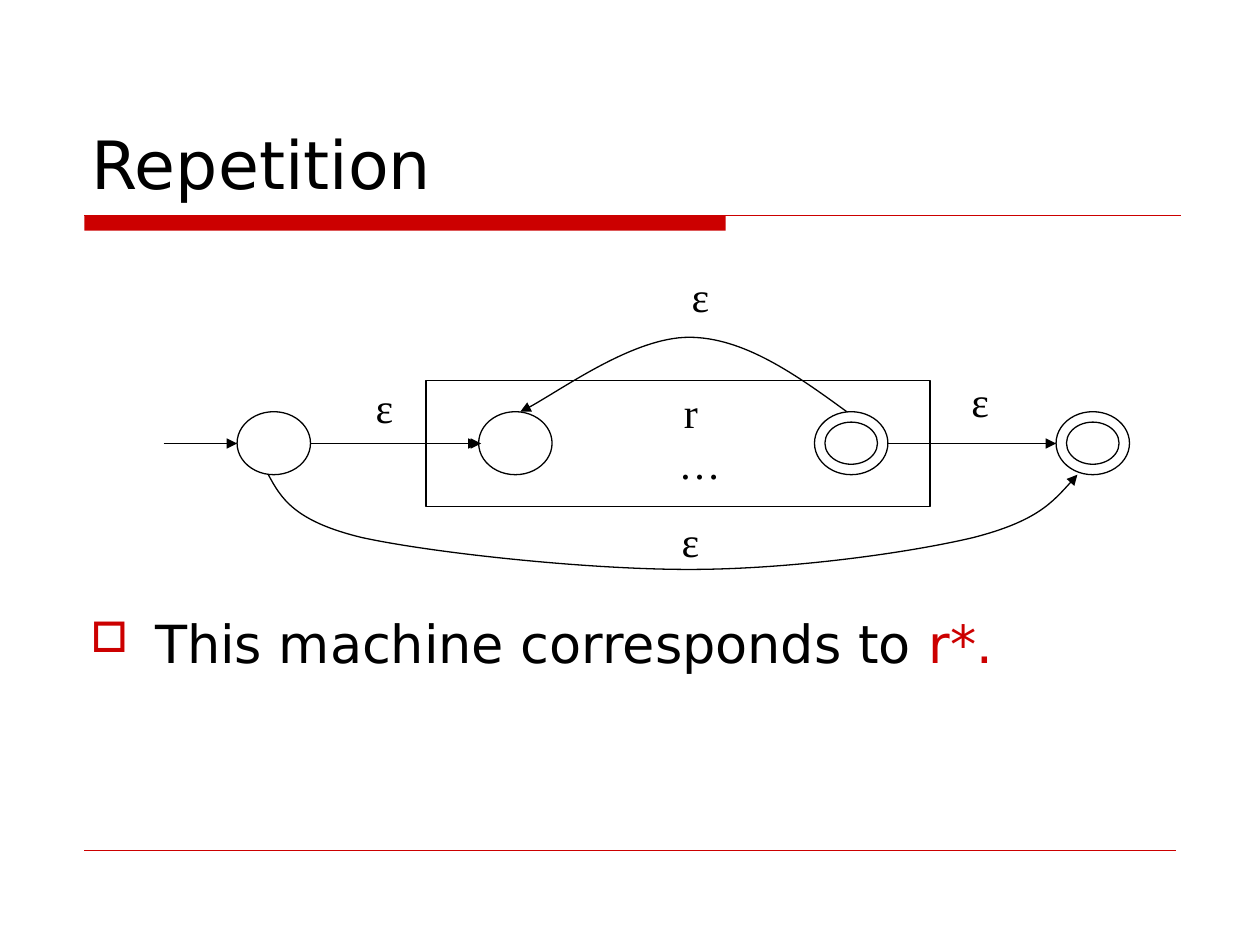
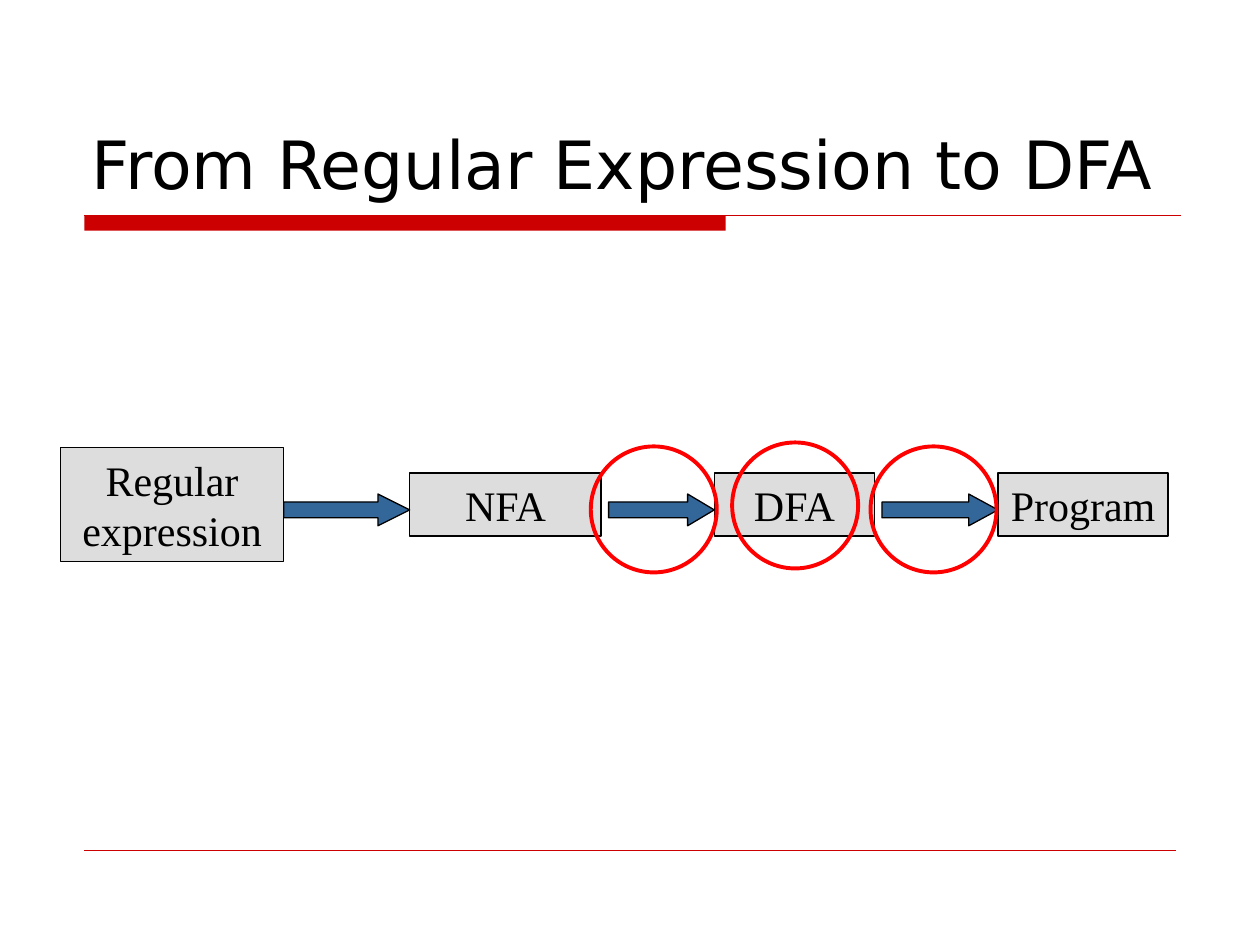
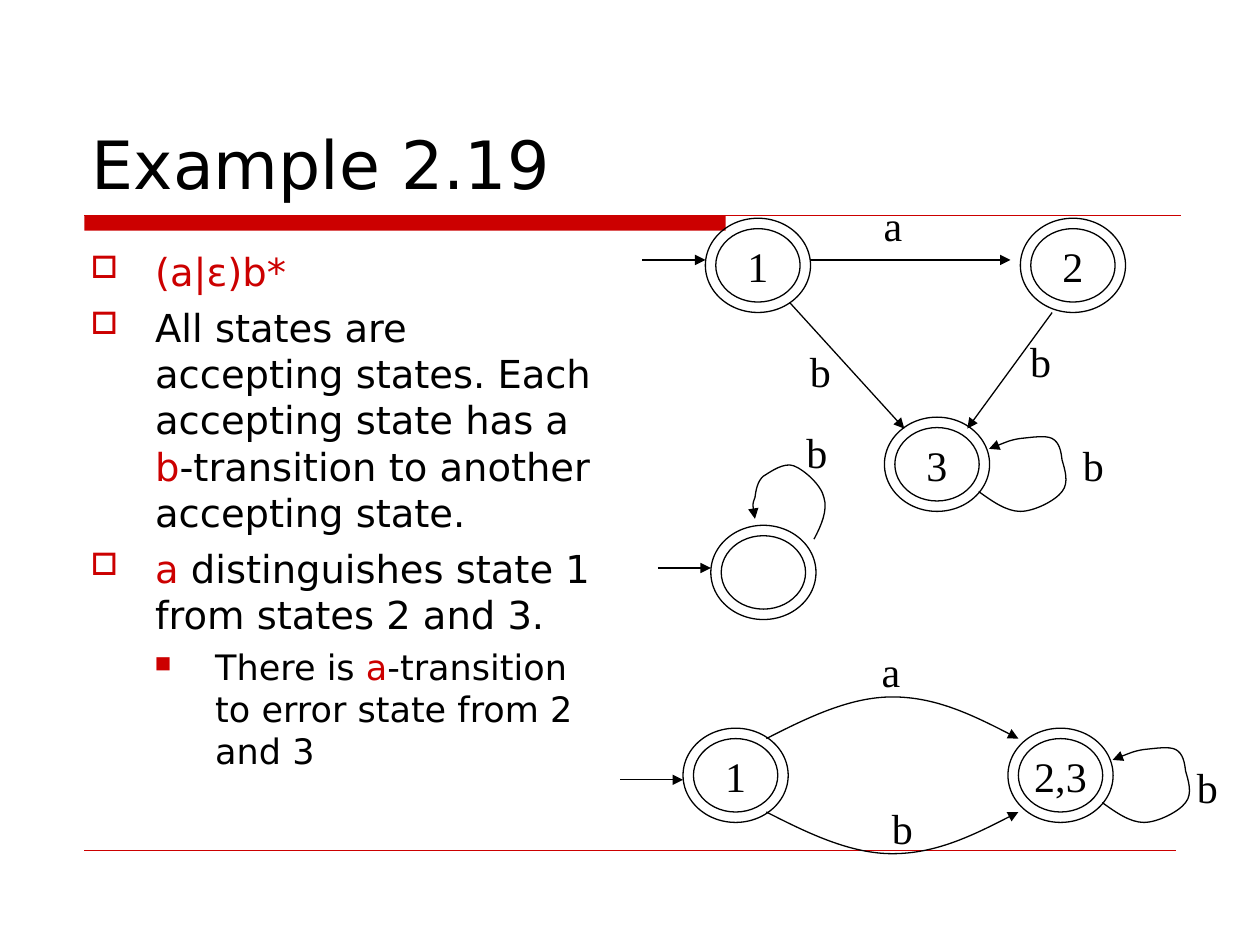
import dataclasses

import lxml.etree
import pptx
import pptx.dml.color
import pptx.enum.shapes
import pptx.enum.text
import pptx.oxml.ns
import pptx.util

Cm = pptx.util.Cm
SHAPE = pptx.enum.shapes.MSO_SHAPE
ALIGN = pptx.enum.text.PP_ALIGN
ANCHOR = pptx.enum.text.MSO_ANCHOR
qn = pptx.oxml.ns.qn


@dataclasses.dataclass(frozen=True)
class Theme:
    sans: str = "DejaVu Sans"
    serif: str = "Times New Roman"
    ink: str = "000000"
    red: str = "CC0000"
    ring: str = "FF0000"
    grey: str = "DDDDDD"
    blue: str = "336699"
    title: float = 38
    lead: float = 30
    body: float = 22
    minor: float = 20
    label: float = 24
    thin: float = 0.75
    hair: float = 0.25
    bold: float = 2.25


THEME = Theme()


@dataclasses.dataclass(frozen=True)
class Box:
    """A region in centimetres."""
    x: float
    y: float
    w: float
    h: float

    def sub(self, x, y, w, h):
        return Box(self.x + x, self.y + y, w, h)

    def spot(self, x, y):
        return self.x + x, self.y + y

    def spots(self, points):
        return [self.spot(x, y) for x, y in points]

    def inset(self, gap):
        return self.sub(gap, gap, self.w - 2 * gap, self.h - 2 * gap)

    def span(self):
        return Cm(self.x), Cm(self.y), Cm(self.w), Cm(self.h)


STATE = (2.12, 1.9)
SMALL = (1.48, 1.27)
GAP = 0.21
SIDE_LOOP = [
    (1.9, 1.5), (2.18, 1.7), (2.46, 1.9), (2.74, 1.9), (3.02, 1.9),
    (3.45, 1.68), (3.58, 1.5), (3.73, 1.32), (3.63, 1.04), (3.58, 0.86),
    (3.56, 0.69), (3.53, 0.51), (3.38, 0.43), (3.25, 0.36), (2.95, 0.41),
    (2.74, 0.43), (2.54, 0.46), (2.31, 0.56), (2.11, 0.64)]
TOP_LOOP = [
    (3.15, 2.39), (3.3, 2.11), (3.43, 1.8), (3.35, 1.55), (3.3, 1.3),
    (2.95, 0.99), (2.74, 0.91), (2.54, 0.84), (2.29, 1.02), (2.13, 1.12),
    (2.01, 1.22), (1.98, 1.4), (1.96, 1.55), (1.9, 1.7), (1.93, 1.83),
    (1.96, 1.98)]
SKIP = [
    (2.11, 4.24), (2.36, 4.7), (2.62, 5.18), (4.01, 5.51), (5.44, 5.82),
    (8.53, 6.15), (10.59, 6.15), (12.62, 6.15), (14.99, 5.82),
    (16.31, 5.51), (17.6, 5.18), (18.01, 4.7), (18.42, 4.24)]
BACK = [
    (13.77, 2.97), (12.73, 2.21), (11.68, 1.47), (10.59, 1.47),
    (9.47, 1.47), (7.75, 2.72), (7.19, 2.97)]
ARC = [
    (2.95, 2.01), (3.81, 1.57), (4.65, 1.17), (5.49, 1.17), (6.35, 1.17),
    (7.19, 1.57), (8.03, 2.01)]


def tint(code):
    return pptx.dml.color.RGBColor.from_string(code)


def style(run, size, font, color=THEME.ink):
    run.font.size = pptx.util.Pt(size)
    run.font.name = font
    run.font.color.rgb = tint(color)


def stroke(shape, color=THEME.ink, width=THEME.thin, arrow=False):
    shape.line.color.rgb = tint(color)
    shape.line.width = pptx.util.Pt(width)
    if arrow:
        line = shape.element.spPr.find(qn("a:ln"))
        lxml.etree.SubElement(line, qn("a:tailEnd"), type="triangle")


def write(frame, text, size=THEME.label, font=THEME.serif, align=ALIGN.CENTER):
    frame.text = text
    for para in frame.paragraphs:
        para.alignment = align
        for run in para.runs:
            style(run, size, font)


def draw(slide, kind, box, fill=None, color=THEME.ink, width=THEME.thin):
    shape = slide.shapes.add_shape(kind, *box.span())
    shape.shadow.inherit = False
    if fill:
        shape.fill.solid()
        shape.fill.fore_color.rgb = tint(fill)
    else:
        shape.fill.background()
    if color:
        stroke(shape, color, width)
    else:
        shape.line.fill.background()
    return shape


def link(slide, start, end, color=THEME.ink, width=THEME.thin, arrow=True):
    ends = [Cm(n) for n in (*start, *end)]
    line = slide.shapes.add_connector(
        pptx.enum.shapes.MSO_CONNECTOR.STRAIGHT, *ends)
    stroke(line, color, width, arrow)
    lxml.etree.SubElement(line.element.spPr, qn("a:effectLst"))


def curve(slide, points):
    """Draw an arrow through a start point and triples of Bezier points."""
    first, *rest = [(Cm(x), Cm(y)) for x, y in points]
    pen = slide.shapes.build_freeform(*first)
    pen.add_line_segments(rest, close=False)
    shape = pen.convert_to_shape()
    shape.shadow.inherit = False
    shape.fill.background()
    stroke(shape, arrow=True)
    steps = list(shape.element.iter(qn("a:lnTo")))
    route = steps[0].getparent()
    for start in range(0, len(steps), 3):
        bend = lxml.etree.SubElement(route, qn("a:cubicBezTo"))
        for step in steps[start:start + 3]:
            bend.append(step[0])
            route.remove(step)


def label(slide, point, text):
    """Centre text on the x of the point, with its box top at the y."""
    x, y = point
    note = slide.shapes.add_textbox(*Box(x - 0.5, y, 1, 1.27).span())
    note.text_frame.word_wrap = False
    write(note.text_frame, text)


def state(slide, box, final=True, text=""):
    oval = draw(slide, SHAPE.OVAL, box)
    if final:
        oval = draw(slide, SHAPE.OVAL, box.inset(GAP))
    if text:
        frame = oval.text_frame
        frame.word_wrap = False
        frame.vertical_anchor = ANCHOR.MIDDLE
        write(frame, text)


def base(deck, title):
    """Add a slide with the title, the red band and the foot line."""
    slide = deck.slides.add_slide(deck.slide_layouts[6])
    draw(slide, SHAPE.RECTANGLE, Box(1.7, 4.34, 12.93, 0.31), THEME.red, None)
    link(slide, (1.7, 4.34), (23.8, 4.34), THEME.red, arrow=False)
    link(slide, (1.7, 17.15), (23.7, 17.15), THEME.red, THEME.hair, False)
    head = slide.shapes.add_textbox(*Box(1.6, 0.84, 22.23, 3.38).span())
    frame = head.text_frame
    frame.word_wrap = True
    frame.vertical_anchor = ANCHOR.BOTTOM
    write(frame, title, THEME.title, THEME.sans, ALIGN.LEFT)
    return slide


def mark(para, level):
    """Give the paragraph its hanging red bullet."""
    edge, hang, scale, sign = [
        (1.3, 1.3, 80000, "□"), (2.51, 1.22, 65000, "■")][level]
    props = para._p.get_or_add_pPr()
    props.set("marL", str(Cm(edge)))
    props.set("indent", str(-Cm(hang)))
    color = lxml.etree.SubElement(props, qn("a:buClr"))
    lxml.etree.SubElement(color, qn("a:srgbClr"), val=THEME.red)
    lxml.etree.SubElement(props, qn("a:buSzPct"), val=str(scale))
    lxml.etree.SubElement(props, qn("a:buChar"), char=sign)


def prose(slide, box, items):
    """Write items of level, size, space before and (text, color) runs."""
    frame = slide.shapes.add_textbox(*box.span()).text_frame
    frame.word_wrap = True
    for index, (level, size, space, parts) in enumerate(items):
        para = frame.add_paragraph() if index else frame.paragraphs[0]
        para.level = level
        para.space_before = pptx.util.Pt(space)
        mark(para, level)
        for text, color in parts:
            run = para.add_run()
            run.text = text
            style(run, size, THEME.sans, color)


def star(slide, box):
    """Draw the machine that repeats r."""
    top, mid = 2.97, 3.61
    lefts = [1.48, 6.35, 13.12, 17.99]
    for left, final in zip(lefts, [False, False, True, True]):
        state(slide, box.sub(left, top, *SMALL), final)
    draw(slide, SHAPE.RECTANGLE, box.sub(5.29, 2.34, 10.16, 2.54))
    label(slide, box.spot(10.63, 2.34), "r\n…")
    spans = [(0, lefts[0]), (lefts[0] + SMALL[0], lefts[1]),
             (lefts[2] + SMALL[0], lefts[3]), (4.93, 6.4)]
    for start, end in spans:
        link(slide, box.spot(start, mid), box.spot(end, mid))
    for points in (SKIP, BACK):
        curve(slide, box.spots(points))
    for x, y in [(4.45, 2.24), (10.82, 0), (16.46, 2.11), (10.62, 4.93)]:
        label(slide, box.spot(x, y), "ε")


def chain(slide, box):
    """Draw the row of steps, the arrows between them and the rings."""
    mid, thick = 1.25, 0.64
    steps = [("Regular expression", 0, 4.5, 2.29), ("NFA", 7.04, 3.86, 1.27),
             ("DFA", 13.18, 3.23, 1.27), ("Program", 18.9, 3.43, 1.27)]
    for name, left, wide, high in steps:
        area = box.sub(left, mid - high / 2, wide, high)
        frame = draw(slide, SHAPE.RECTANGLE, area, THEME.grey).text_frame
        frame.word_wrap = True
        frame.margin_left = frame.margin_right = 0
        frame.vertical_anchor = ANCHOR.MIDDLE
        write(frame, name)
    for start, step in zip([4.5, 11.05, 16.56], steps[1:]):
        wide = step[1] - start
        area = box.sub(start, 1.04, wide, thick)
        arrow = draw(slide, SHAPE.RIGHT_ARROW, area, THEME.blue)
        arrow.adjustments[1] = wide / 2.54
    for left, top in [(10.69, 0.08), (16.33, 0.08), (13.54, 0)]:
        area = box.sub(left, top, 2.54, 2.54)
        draw(slide, SHAPE.OVAL, area, None, THEME.ring, THEME.bold)


def graph(slide, box, states, links, curves, labels):
    """Draw one machine, all of whose states accept."""
    for text, x, y in states:
        state(slide, box.sub(x, y, *STATE), True, text)
    for start, end in links:
        link(slide, box.spot(*start), box.spot(*end))
    for points in curves:
        curve(slide, box.spots(points))
    for text, x, y in labels:
        label(slide, box.spot(x, y), text)


def shift(points, x, y):
    return [(x + a, y + b) for a, b in points]


def triple(slide, box):
    graph(slide, box,
          [("1", 1.27, 0.51), ("2", 7.62, 0.51), ("3", 4.88, 4.52)],
          [((0, 1.35), (1.27, 1.35)), ((3.38, 1.35), (7.42, 1.35)),
           ((2.97, 2.21), (5.28, 4.75)), ((8.26, 2.41), (6.55, 4.75))],
          [shift(SIDE_LOOP, 4.88, 4.52)],
          [("a", 5.05, 0), ("b", 3.59, 2.95), ("b", 8.03, 2.74),
           ("b", 9.09, 4.85)])


def single(slide, box):
    graph(slide, box, [("", 1.07, 2.11)], [((0, 2.97), (1.07, 2.97))],
          [TOP_LOOP], [("b", 3.21, 0)])


def merged(slide, box):
    top = 1.8
    under = [(x, 2 * top + STATE[1] - y) for x, y in ARC]
    graph(slide, box, [("1", 1.27, top), ("2,3", 7.82, top)],
          [((0, 2.84), (1.27, 2.84))],
          [ARC, under, shift(SIDE_LOOP, 7.82, top)],
          [("a", 5.46, 0), ("b", 5.69, 3.18), ("b", 11.84, 2.34)])


def main():
    deck = pptx.Presentation()
    deck.slide_width, deck.slide_height = Cm(25.4), Cm(19.05)
    ink, red = THEME.ink, THEME.red

    slide = base(deck, "Repetition")
    prose(slide, Box(1.58, 12.19, 22.23, 4.55), [
        (0, THEME.lead, 7.5,
         [("This machine corresponds to ", ink), ("r*.", red)])])
    star(slide, Box(3.3, 5.33, 19.47, 6.2))

    slide = base(deck, "From Regular Expression to DFA")
    chain(slide, Box(1.22, 8.92, 22.33, 2.62))

    slide = base(deck, "Example 2.19")
    prose(slide, Box(1.58, 4.88, 10.9, 11.86), [
        (0, THEME.body, 5.5, [("(a|ε)b*", red)]),
        (0, THEME.body, 5.5, [
            ("All states are accepting states. Each accepting state has a ",
             ink),
            ("b", red), ("-transition to another accepting state.", ink)]),
        (0, THEME.body, 5.5, [
            ("a", red), (" distinguishes state 1 from states 2 and 3.", ink)]),
        (1, THEME.minor, 5, [
            ("There is ", ink), ("a", red),
            ("-transition to error state from 2 and 3", ink)])])
    triple(slide, Box(12.95, 3.89, 9.74, 6.42))
    single(slide, Box(13.26, 8.48, 3.71, 4.01))
    merged(slide, Box(12.5, 12.88, 12.34, 4.45))

    deck.save("out.pptx")


if __name__ == "__main__":
    main()
